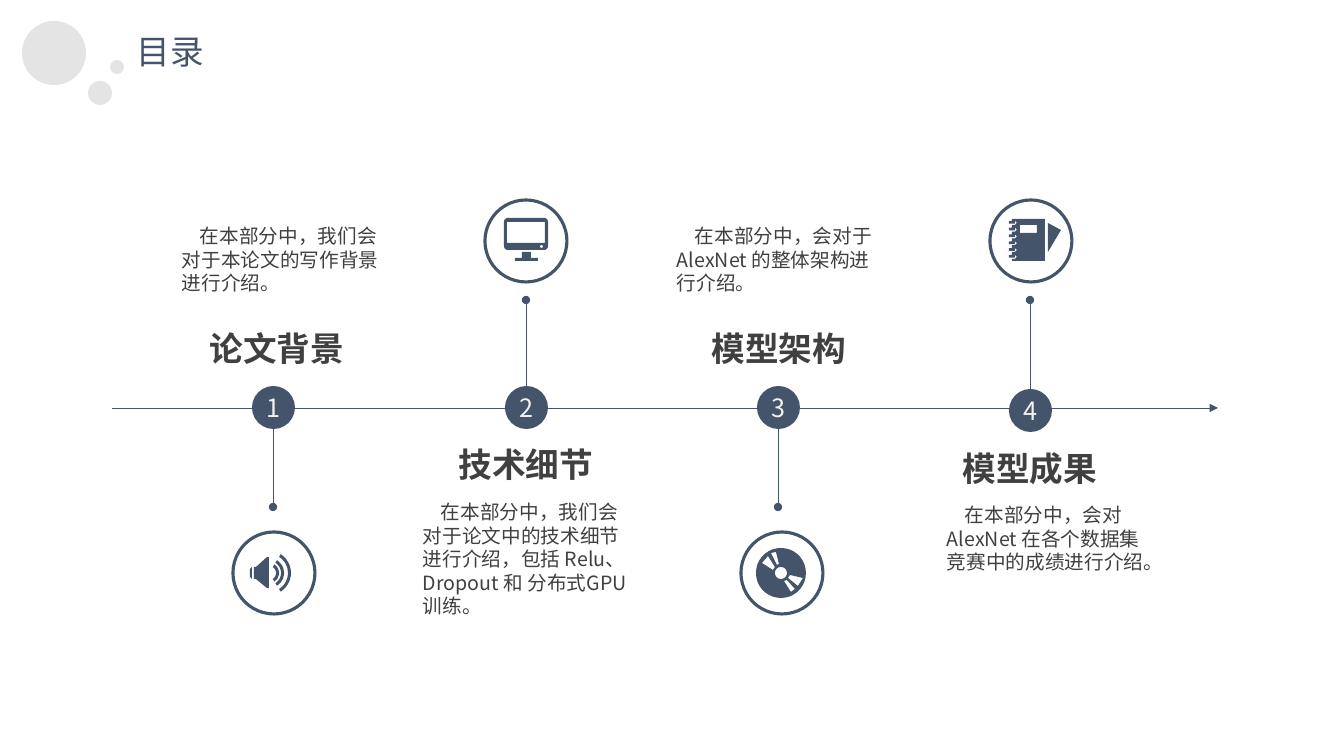
from math import cos, sin, radians
from lxml.etree import SubElement
from pptx import Presentation
from pptx.dml.color import RGBColor
from pptx.enum.shapes import MSO_CONNECTOR as LINE, MSO_SHAPE as SHAPE
from pptx.enum.text import MSO_ANCHOR as ANCHOR, MSO_AUTO_SIZE as AUTO, PP_ALIGN as ALIGN
from pptx.oxml.ns import qn
from pptx.util import Pt

PX = 914400 / 100.8
FINE = 10
FONT = "Noto Sans CJK SC"
NAVY, GREY, DARK, PALE = "44546A", "D9D9D9", "404040", "F2F2F2"

# number, centre x, dot top, ring (left, top), stem (top, end),
# heading (left, top, width), body (left, top, height)
STEPS = [
    ("1", 273, 386, (233, 532), (407, 507), (188, 326, 178), (172, 219, 82),
     "论文背景", "在本部分中，我们会对于本论文的写作背景进行介绍。"),
    ("2", 526, 386, (485, 200), (300, 399), (440, 442, 172), (413, 495, 129),
     "技术细节", "在本部分中，我们会对于论文中的技术细节进行介绍，"
     "包括 Relu、Dropout 和 分布式GPU 训练。"),
    ("3", 778, 386, (741, 532), (407, 507), (699, 326, 160), (667, 219, 82),
     "模型架构", "在本部分中，会对于AlexNet 的整体架构进行介绍。"),
    ("4", 1030, 389, (990, 200), (300, 399), (944, 446, 172), (937, 498, 82),
     "模型成果", "在本部分中，会对AlexNet 在各个数据集竞赛中的成绩进行介绍。"),
]


def emu(*px):
    """Turn pixels into EMU."""
    return [round(v * PX) for v in px]


def tint(hue):
    """Turn a hex string into a colour."""
    return RGBColor.from_string(hue)


def write(shape, text, size, hue, bold=False, align=ALIGN.LEFT, anchor=ANCHOR.TOP,
          wrap=True, grow=True, pad=(10, 5), space=None, indent=0):
    """Put formatted text into a shape."""
    frame = shape.text_frame
    frame.word_wrap = wrap
    frame.auto_size = AUTO.SHAPE_TO_FIT_TEXT if grow else AUTO.NONE
    frame.vertical_anchor = anchor
    side, edge = emu(*pad)
    frame.margin_left = frame.margin_right = side
    frame.margin_top = frame.margin_bottom = edge
    para = frame.paragraphs[0]
    para.alignment = align
    if space:
        para.line_spacing = space
    if indent:
        para._p.get_or_add_pPr().set("indent", str(emu(indent)[0]))
    run = para.add_run()
    run.text = text
    font = run.font
    font.size, font.bold, font.name = Pt(size), bold, FONT
    font.color.rgb = tint(hue)
    SubElement(run._r.get_or_add_rPr(), qn("a:ea"), typeface=FONT)


def label(slide, box, text, size, hue, **style):
    """Add a text box."""
    write(slide.shapes.add_textbox(*emu(*box)), text, size, hue, **style)


def disc(slide, x, y, size, fill=None, line=None, alpha=None, kind=SHAPE.OVAL):
    """Add a circle, filled or outlined."""
    shape = slide.shapes.add_shape(kind, *emu(x, y, size, size))
    shape.shadow.inherit = False
    if fill:
        shape.fill.solid()
        shape.fill.fore_color.rgb = tint(fill)
    else:
        shape.fill.background()
    if line:
        shape.line.color.rgb = tint(line)
        shape.line.width = Pt(2.25)
    else:
        shape.line.fill.background()
    if alpha:
        hue = shape._element.spPr.find(".//" + qn("a:srgbClr"))
        SubElement(hue, qn("a:alpha"), val=str(alpha * 1000))
    return shape


def rule(slide, ends, head=None, tail=None):
    """Add a thin line with end marks."""
    link = slide.shapes.add_connector(LINE.STRAIGHT, *emu(*ends))
    link.line.color.rgb = tint(NAVY)
    link.line.width = Pt(0.5)
    for tag, mark in (("a:headEnd", head), ("a:tailEnd", tail)):
        if mark:
            SubElement(link.line._get_or_add_ln(), qn(tag), type=mark)
    SubElement(link._element.spPr, qn("a:effectLst"))


def draw(slide, *loops):
    """Add one filled outline; inner loops become holes."""
    fine = [[(x * FINE, y * FINE) for x, y in loop] for loop in loops]
    pen = slide.shapes.build_freeform(*fine[0][0], scale=PX / FINE)
    pen.add_line_segments(fine[0][1:])
    for loop in fine[1:]:
        pen.move_to(*loop[0])
        pen.add_line_segments(loop[1:])
    shape = pen.convert_to_shape()
    shape.shadow.inherit = False
    shape.fill.solid()
    shape.fill.fore_color.rgb = tint(NAVY)
    shape.line.fill.background()


def arc(x, y, r, start=0, end=360, count=36):
    """List points along an arc, angles in degrees."""
    turns = [radians(start + (end - start) * i / count) for i in range(count + 1)]
    return [(x + r * cos(t), y + r * sin(t)) for t in turns]


def rect(x, y, right, low, r=0):
    """List the points of a box with round corners."""
    if not r:
        return [(x, y), (right, y), (right, low), (x, low), (x, y)]
    spots = [(x + r, y + r), (right - r, y + r), (right - r, low - r), (x + r, low - r)]
    return [p for i, (a, b) in enumerate(spots)
            for p in arc(a, b, r, 180 + 90 * i, 270 + 90 * i, 6)]


def horn(slide):
    """Draw the speaker and its waves."""
    draw(slide, [(254, 567), (256, 567), (267, 557), (269, 557),
                 (269, 588), (267, 588), (256, 579), (254, 579)])
    draw(slide, [(250, 569), (252, 567), (252, 579), (250, 577)])
    for r in (10, 15, 22):
        draw(slide, arc(269, 573, r, -58, 58) + arc(269, 573, r - 3, 58, -58))


def screen(slide):
    """Draw the monitor."""
    draw(slide, rect(504, 218, 548, 250, 4), rect(507, 222, 545, 243),
         arc(541.5, 246.5, 1.5),
         [(515, 258), (522, 258), (522, 252), (531, 252),
          (531, 258), (538, 258), (538, 261), (515, 261)])


def disk(slide):
    """Draw the compact disc."""
    draw(slide, arc(781, 573, 25), arc(781, 573, 6),
         [(777, 565), (779, 564), (776, 552), (771, 553)],
         [(787, 580), (784, 581), (791, 592), (795, 589)],
         [(803, 578), (790, 575), (788, 578), (798, 586)],
         [(762, 563), (773, 570), (775, 567), (768, 556)])


def book(slide):
    """Draw the notebook with its ring binding and pencil tip."""
    tooth = [(1012, 0), (1009, 0), (1009, 2.7), (1015, 2.7), (1015, 0),
             (1017, 1.8), (1015, 3.9), (1012, 3.9)]
    edge = [(x, 221 + 6.8 * i + y) for i in range(6) for x, y in tooth]
    draw(slide, [(1012, 219)] + edge + [(1012, 261), (1045, 261), (1045, 219)],
         rect(1020, 225, 1037, 233))
    draw(slide, [(1048, 223), (1048, 252), (1061, 230)])


def main():
    """Build and save the slide."""
    deck = Presentation()
    deck.slide_width, deck.slide_height = emu(1344, 756)
    slide = deck.slides.add_slide(deck.slide_layouts[6])
    for x, y, size in ((22, 21, 64), (88, 81, 24), (110, 60, 14)):
        disc(slide, x, y, size, GREY, alpha=70, kind=SHAPE.FLOWCHART_CONNECTOR)
    label(slide, (127, 26, 89, 50), "目录", 24, NAVY, wrap=False)
    for _, mid, _, _, (top, end), *_ in STEPS:
        rule(slide, (mid, top, mid, end), "oval", "oval")
    rule(slide, (112, 408, 1218, 408), tail="triangle")
    for num, mid, top, ring, _, (hx, hy, wide), (bx, by, high), name, text in STEPS:
        dot = disc(slide, mid - 21, top, 43, NAVY)
        write(dot, num, 18, PALE, align=ALIGN.CENTER, anchor=ANCHOR.MIDDLE,
              wrap=False, grow=False, pad=(0, 0))
        disc(slide, *ring, 82, line=NAVY)
        label(slide, (bx, by, 227, high), text, 14, DARK, indent=18)
        label(slide, (hx, hy, wide, 48), name, 24, DARK, bold=True,
              align=ALIGN.CENTER, space=0.94)
    for icon in (horn, screen, disk, book):
        icon(slide)
    deck.save("out.pptx")


main()
